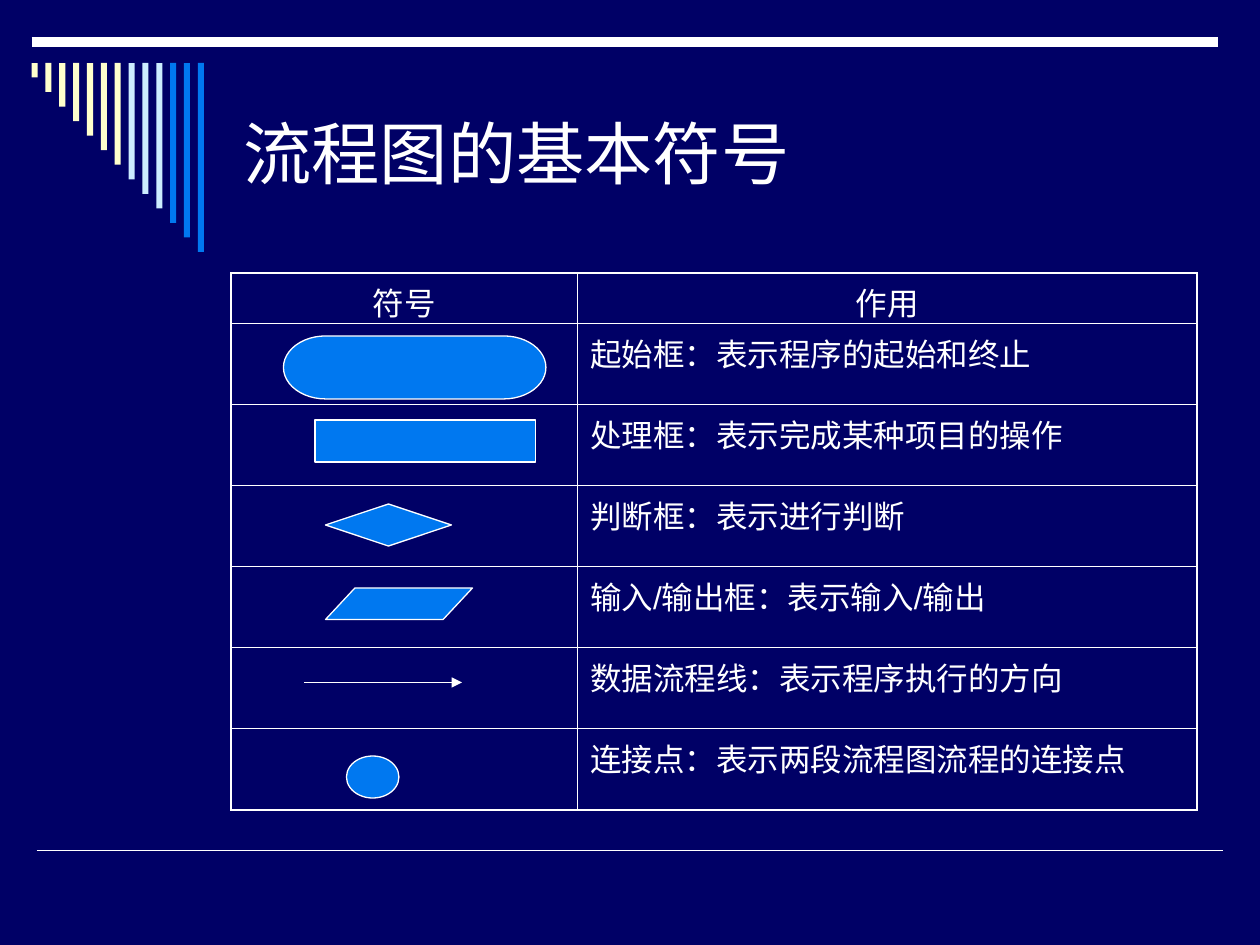
"""Build a slide that explains the basic flowchart symbols in a table."""
import dataclasses

import lxml.etree
import pptx
import pptx.dml.color
import pptx.enum.shapes
import pptx.enum.text
import pptx.oxml.ns
import pptx.util

Pt = pptx.util.Pt
RGB = pptx.dml.color.RGBColor.from_string
Shape = pptx.enum.shapes.MSO_SHAPE
Align = pptx.enum.text.PP_ALIGN
Anchor = pptx.enum.text.MSO_ANCHOR
qn = pptx.oxml.ns.qn


@dataclasses.dataclass(frozen=True)
class Theme:
    navy: str = "000066"
    white: str = "FFFFFF"
    blue: str = "0078F0"
    cyan: str = "CCECFF"
    cream: str = "FFFFCC"
    font: str = "Arial"
    title_size: float = 39
    table_size: float = 18
    outer_border: float = 1.08
    inner_border: float = 0.45
    outline: float = 0.75


theme = Theme()
deck = pptx.Presentation()
deck.slide_width, deck.slide_height = Pt(720), Pt(540)
page = deck.slides.add_slide(deck.slide_layouts[6])
page.background.fill.solid()
page.background.fill.fore_color.rgb = RGB(theme.navy)


def add_line(left, right, top, width):
    line = page.shapes.add_connector(
        pptx.enum.shapes.MSO_CONNECTOR.STRAIGHT, Pt(left), Pt(top), Pt(right), Pt(top))
    line.line.color.rgb = RGB(theme.white)
    line.line.width = Pt(width)
    lxml.etree.SubElement(line._element.spPr, qn("a:effectLst"))
    return line


def add_filled(kind, left, top, width, height, color):
    shape = page.shapes.add_shape(kind, Pt(left), Pt(top), Pt(width), Pt(height))
    shape.shadow.inherit = False
    shape.fill.solid()
    shape.fill.fore_color.rgb = RGB(color)
    shape.line.fill.background()
    return shape


add_line(21, 699, 486, 1)
add_line(18, 696, 24, 6)

bar_colors = [theme.cream] * 7 + [theme.cyan] * 3 + [theme.blue] * 3
for index, color in enumerate(bar_colors):
    height = 108 * (index + 1) / len(bar_colors)
    add_filled(Shape.RECTANGLE, 18 + 7.92 * index, 36, 3.5, height, color)

title = page.shapes.add_textbox(Pt(132), Pt(36), Pt(552), Pt(102))
title.text_frame.word_wrap = True
title.text_frame.vertical_anchor = Anchor.MIDDLE
title.text_frame.text = "流程图的基本符号"
title_font = title.text_frame.paragraphs[0].runs[0].font
title_font.name = theme.font
title_font.size = Pt(theme.title_size)
title_font.color.rgb = RGB(theme.white)

rows = [
    ("符号", "作用"),
    ("", "起始框：表示程序的起始和终止"),
    ("", "处理框：表示完成某种项目的操作"),
    ("", "判断框：表示进行判断"),
    ("", "输入/输出框：表示输入/输出"),
    ("", "数据流程线：表示程序执行的方向"),
    ("", "连接点：表示两段流程图流程的连接点"),
]
last_row = len(rows) - 1
table = page.shapes.add_table(len(rows), 2, Pt(132), Pt(156), Pt(552), Pt(307)).table
table.first_row = table.horz_banding = False
table.columns[0].width, table.columns[1].width = Pt(198), Pt(354)
for row_index, texts in enumerate(rows):
    table.rows[row_index].height = Pt(46.3 if row_index else 29)
    for column_index, text in enumerate(texts):
        cell = table.cell(row_index, column_index)
        outer_edges = {
            "a:lnL": column_index == 0,
            "a:lnR": column_index == 1,
            "a:lnT": row_index == 0,
            "a:lnB": row_index == last_row,
        }
        properties = cell._tc.get_or_add_tcPr()
        for tag, is_outer in outer_edges.items():
            width = theme.outer_border if is_outer else theme.inner_border
            border = lxml.etree.SubElement(properties, qn(tag), w=str(int(Pt(width))))
            paint = lxml.etree.SubElement(border, qn("a:solidFill"))
            lxml.etree.SubElement(paint, qn("a:srgbClr"), val=theme.white)
        cell.fill.background()
        cell.text_frame.text = text
        para = cell.text_frame.paragraphs[0]
        para.alignment = Align.LEFT if row_index else Align.CENTER
        para.font.size = Pt(theme.table_size)
        for span in para.runs:
            span.font.name = theme.font
            span.font.size = Pt(theme.table_size)
            span.font.color.rgb = RGB(theme.white)

symbols = [
    (Shape.FLOWCHART_TERMINATOR, 162, 192, 150, 36),
    (Shape.FLOWCHART_PROCESS, 180, 240, 126, 24),
    (Shape.FLOWCHART_DECISION, 186, 288, 72, 24),
    (Shape.FLOWCHART_DATA, 186, 336, 84, 18),
    (Shape.FLOWCHART_CONNECTOR, 198, 432, 30, 24),
]
for kind, left, top, width, height in symbols:
    symbol = add_filled(kind, left, top, width, height, theme.blue)
    symbol.line.color.rgb = RGB(theme.white)
    symbol.line.width = Pt(theme.outline)

flow_arrow = add_line(174, 264, 390, theme.outline)
lxml.etree.SubElement(flow_arrow.line._get_or_add_ln(), qn("a:tailEnd"), type="triangle")

deck.save("out.pptx")
